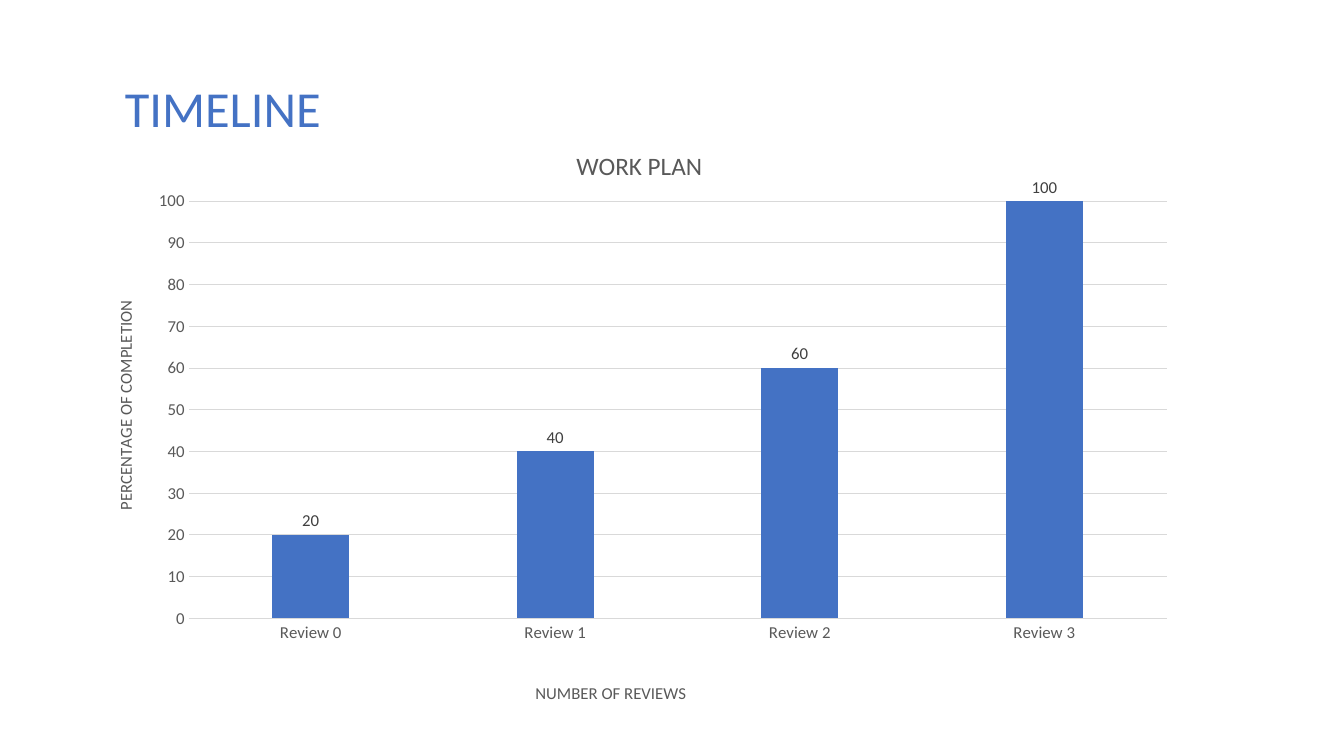
from dataclasses import dataclass
from typing import Any

import lxml.etree
import pptx
import pptx.chart.data
import pptx.dml.color
import pptx.enum.chart
import pptx.enum.text
import pptx.oxml.ns
import pptx.util

FONT = "Calibri"
BLUE, GREY, DARK, RULE = "4472C4", "595959", "404040", "D9D9D9"
CHART_BOX = (0.85, 1.2, 10.94, 5.83)
PLOT_BOX = (1.87, 2.0, 9.7, 4.16)
REVIEWS = {"Review 0": 20, "Review 1": 40, "Review 2": 60, "Review 3": 100}


@dataclass
class Caption:
    owner: Any
    text: str
    size: int
    left: float
    top: float


def color(value: str) -> pptx.dml.color.RGBColor:
    return pptx.dml.color.RGBColor.from_string(value)


def apply(obj: Any, values: dict[str, Any]) -> None:
    for name, value in values.items():
        setattr(obj, name, value)


def set_font(font: Any, size: int, value: str) -> None:
    apply(font, {"name": FONT, "size": pptx.util.Pt(size), "bold": False})
    font.color.rgb = color(value)


def set_line(line: Any) -> None:
    line.color.rgb = color(RULE)
    line.width = pptx.util.Pt(0.75)


def set_layout(parent: Any, index: int, box: tuple[float, ...], inner: bool = False) -> None:
    qn = pptx.oxml.ns.qn
    for old in parent.findall(qn("c:layout")):
        parent.remove(old)
    layout = lxml.etree.Element(qn("c:layout"))
    manual = lxml.etree.SubElement(layout, qn("c:manualLayout"))
    left, top, width, height = CHART_BOX
    values = {"layoutTarget": "inner"} if inner else {}
    values |= {"xMode": "edge", "yMode": "edge"}
    values |= {"x": (box[0] - left) / width, "y": (box[1] - top) / height}
    if inner:
        values |= {"w": box[2] / width, "h": box[3] / height}
    for name, value in values.items():
        text = value if isinstance(value, str) else f"{value:.4f}"
        lxml.etree.SubElement(manual, qn(f"c:{name}")).set("val", text)
    parent.insert(index, layout)


def add_caption(caption: Caption) -> None:
    title = caption.owner.chart_title if hasattr(caption.owner, "chart_title") else caption.owner.axis_title
    p = title.text_frame.paragraphs[0]
    r = p.add_run()
    r.text = caption.text
    set_font(p.font, caption.size, GREY)
    set_font(r.font, caption.size, GREY)
    set_layout(title._element, 1, (caption.left, caption.top))


def add_work_plan(s: Any) -> None:
    data = pptx.chart.data.CategoryChartData()
    data.categories = list(REVIEWS)
    data.add_series("Series 1", list(REVIEWS.values()))
    kind = pptx.enum.chart.XL_CHART_TYPE.COLUMN_CLUSTERED
    box = [pptx.util.Inches(v) for v in CHART_BOX]
    chart = s.shapes.add_chart(kind, *box, data).chart
    set_font(chart.font, 12, GREY)
    chart.has_legend = False

    cat, val = chart.category_axis, chart.value_axis
    none = pptx.enum.chart.XL_TICK_MARK.NONE
    for axis in (cat, val):
        apply(axis, {"major_tick_mark": none, "minor_tick_mark": none})
        set_font(axis.tick_labels.font, 12, GREY)
    apply(val, {"minimum_scale": 0, "maximum_scale": 100, "major_unit": 10})
    set_line(cat.format.line)
    set_line(val.major_gridlines.format.line)
    val.format.line.fill.background()

    for caption in (
        Caption(chart, "WORK PLAN", 18, 5.67, 1.43),
        Caption(cat, "NUMBER OF REVIEWS", 12, 5.28, 6.76),
        Caption(val, "PERCENTAGE OF COMPLETION", 12, 1.1, 2.97),
    ):
        add_caption(caption)

    plot = chart.plots[0]
    apply(plot, {"gap_width": 219, "overlap": -27, "vary_by_categories": False})
    fill = plot.series[0].format.fill
    fill.solid()
    fill.fore_color.rgb = color(BLUE)
    labels = plot.series[0].data_labels
    outside = pptx.enum.chart.XL_LABEL_POSITION.OUTSIDE_END
    apply(labels, {"show_value": True, "position": outside})
    set_font(labels.font, 12, DARK)
    set_layout(chart._chartSpace.chart.plotArea, 0, PLOT_BOX, inner=True)


def add_heading(s: Any) -> None:
    box = [pptx.util.Inches(v) for v in (1.14, 0.72, 5.53, 0.71)]
    tf = s.shapes.add_textbox(*box).text_frame
    apply(tf, {"word_wrap": True, "auto_size": pptx.enum.text.MSO_AUTO_SIZE.SHAPE_TO_FIT_TEXT})
    r = tf.paragraphs[0].add_run()
    r.text = "TIMELINE"
    set_font(r.font, 36, BLUE)


def main() -> None:
    prs = pptx.Presentation()
    apply(prs, {"slide_width": pptx.util.Inches(13.33), "slide_height": pptx.util.Inches(7.5)})
    s = prs.slides.add_slide(prs.slide_layouts[6])
    add_work_plan(s)
    add_heading(s)
    prs.save("out.pptx")


if __name__ == "__main__":
    main()
